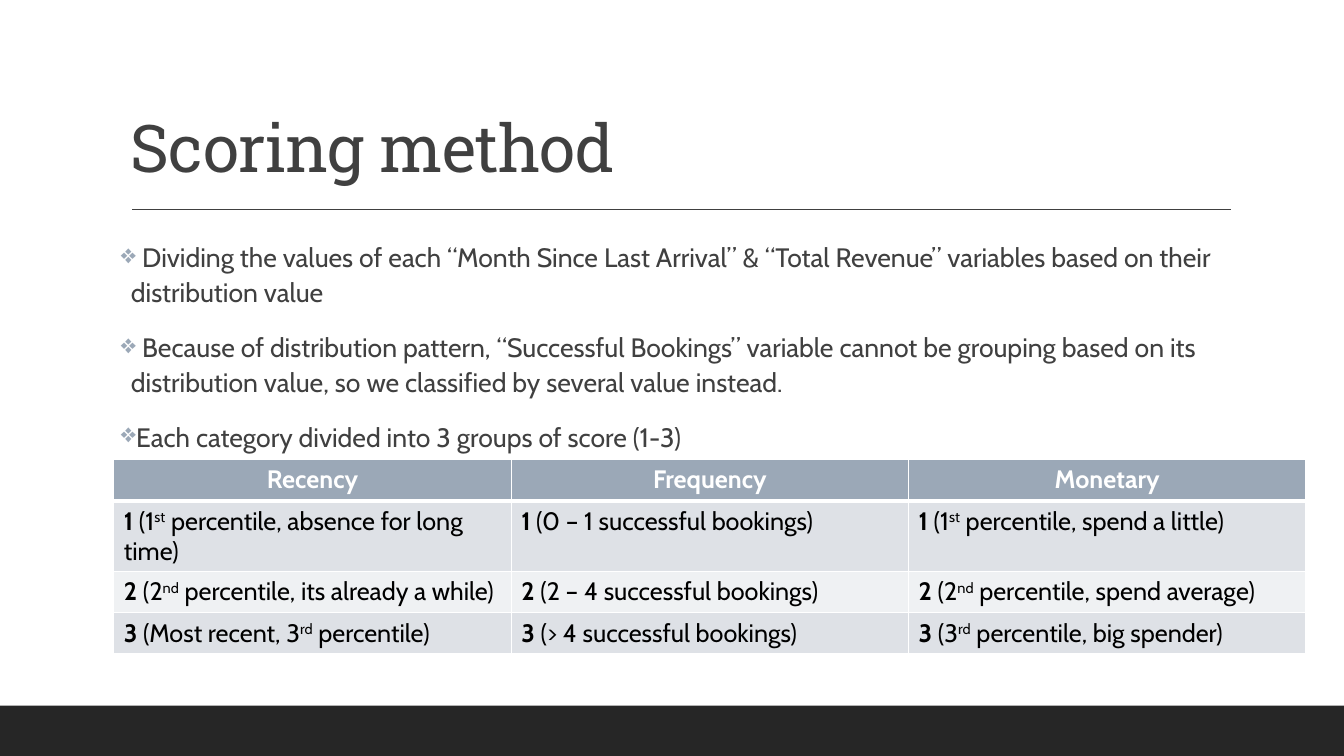
from lxml.etree import SubElement
from pptx import Presentation
from pptx.dml.color import RGBColor
from pptx.enum.shapes import MSO_CONNECTOR, MSO_SHAPE
from pptx.enum.text import MSO_ANCHOR, PP_ALIGN
from pptx.oxml.ns import qn
from pptx.util import Cm, Pt

DARK, BAND, ACCENT, WHITE, BLACK = "404040", "262626", "9BA8B7", "FFFFFF", "000000"
ROW_FILLS = ["DEE1E6", "EFF1F3"]
TITLE_FONT = {"name": "Roboto Slab", "size": Pt(47)}
BODY_FONT = {"name": "Cabin", "size": Pt(19)}
CELL_FONT = {"name": "Cabin", "size": Pt(18), "bold": False}
BOLD_FONT = {**CELL_FONT, "bold": True}
BULLET_FORMAT = {"line_spacing": 1.1, "space_before": Pt(12), "space_after": Pt(2)}
BULLETS = [
    " Dividing the values of each “Month Since Last Arrival” & “Total Revenue” variables "
    "based on their distribution value",
    " Because of distribution pattern, “Successful Bookings” variable cannot be grouping "
    "based on its distribution value, so we classified by several value instead.",
    "Each category divided into 3 groups of score (1-3)",
]
HEADINGS = ["Recency", "Frequency", "Monetary"]
SCORES = [
    ["(1^st^ percentile, absence for long time)", "(0 – 1 successful bookings)",
     "(1^st^ percentile, spend a little)"],
    ["(2^nd^ percentile, its already a while)", "(2 – 4 successful bookings)",
     "(2^nd^ percentile, spend average)"],
    ["(Most recent, 3^rd^ percentile)", "(> 4 successful bookings)",
     "(3^rd^ percentile, big spender)"],
]


def colour(value):
    """Turn a hex string into a colour."""
    return RGBColor.from_string(value)


def apply_format(target, values):
    """Set each attribute of the target from a dict."""
    for name, value in values.items():
        setattr(target, name, value)


def add_span(para, text, font, ink):
    """Add a formatted run to a paragraph."""
    span = para.add_run()
    span.text = text
    apply_format(span.font, font)
    span.font.color.rgb = colour(ink)
    return span


def add_solid_fill(parent, tag, value):
    """Add an element that holds one colour."""
    SubElement(SubElement(parent, qn(tag)), qn("a:srgbClr"), val=value)


def add_band(page):
    """Draw the dark band along the foot of the slide."""
    band = page.shapes.add_shape(MSO_SHAPE.RECTANGLE, 0, Cm(17.78), Cm(33.87), Cm(1.27))
    band.shadow.inherit = False
    band.fill.solid()
    band.fill.fore_color.rgb = colour(BAND)
    band.line.fill.background()


def add_rule(page):
    """Draw the line below the title."""
    rule = page.shapes.add_connector(
        MSO_CONNECTOR.STRAIGHT, Cm(3.33), Cm(5.28), Cm(31.01), Cm(5.28))
    rule.line.color.rgb = colour(DARK)
    rule.line.width = Pt(1)
    SubElement(rule.element.spPr, qn("a:effectLst"))


def add_text_frame(page, top, height, values):
    """Add a wrapping text box and return its frame."""
    box = page.shapes.add_textbox(Cm(3.05), Cm(top), Cm(27.94), Cm(height))
    apply_format(box.text_frame, {"word_wrap": True, **values})
    return box.text_frame


def add_title(page, text):
    """Write the slide title."""
    frame = add_text_frame(page, 0.79, 4.04, {"vertical_anchor": MSO_ANCHOR.BOTTOM})
    para = frame.paragraphs[0]
    para.line_spacing = 0.9
    span = add_span(para, text, TITLE_FONT, DARK)
    span.font._element.set("spc", "-50")


def add_bullets(page, texts):
    """Write the bulleted paragraphs."""
    frame = add_text_frame(page, 5.87, 10.44, {"margin_left": 0, "margin_right": 0})
    for index, text in enumerate(texts):
        para = frame.add_paragraph() if index else frame.paragraphs[0]
        apply_format(para, BULLET_FORMAT)
        properties = para._p.get_or_add_pPr()
        properties.set("marL", str(Cm(0.25)))
        properties.set("indent", str(-Cm(0.25)))
        add_solid_fill(properties, "a:buClr", ACCENT)
        SubElement(properties, qn("a:buChar"), char="❖")
        add_span(para, text, BODY_FONT, DARK)


def style_cell(cell, fill, top=1, bottom=1):
    """Give a cell white borders and a fill."""
    properties = cell._tc.get_or_add_tcPr()
    for side, width in {"L": 1, "R": 1, "T": top, "B": bottom}.items():
        border = SubElement(properties, qn(f"a:ln{side}"), w=str(Pt(width)))
        add_solid_fill(border, "a:solidFill", WHITE)
    cell.fill.solid()
    cell.fill.fore_color.rgb = colour(fill)


def write_score(para, score, text):
    """Write a bold score and its meaning, with ^marked^ parts raised."""
    add_span(para, str(score), BOLD_FONT, BLACK)
    for index, part in enumerate(f" {text}".split("^")):
        span = add_span(para, part, CELL_FONT, BLACK)
        if index % 2:
            span.font._element.set("baseline", "30000")


def add_score_table(page):
    """Build the table of scores."""
    table = page.shapes.add_table(
        len(SCORES) + 1, len(HEADINGS), Cm(2.87), Cm(11.58), Cm(30.04), Cm(4.16)).table
    for column, heading in enumerate(HEADINGS):
        cell = table.cell(0, column)
        style_cell(cell, ACCENT, bottom=3)
        para = cell.text_frame.paragraphs[0]
        para.alignment = PP_ALIGN.CENTER
        add_span(para, heading, BOLD_FONT, WHITE)
    for score, texts in enumerate(SCORES, 1):
        for column, text in enumerate(texts):
            cell = table.cell(score, column)
            style_cell(cell, ROW_FILLS[(score - 1) % 2], top=3 if score == 1 else 1)
            write_score(cell.text_frame.paragraphs[0], score, text)


def main():
    """Build the slide and save it."""
    deck = Presentation()
    apply_format(deck, {"slide_width": Cm(33.87), "slide_height": Cm(19.05)})
    page = deck.slides.add_slide(deck.slide_layouts[6])
    add_band(page)
    add_rule(page)
    add_title(page, "Scoring method")
    add_bullets(page, BULLETS)
    add_score_table(page)
    deck.save("out.pptx")


if __name__ == "__main__":
    main()
